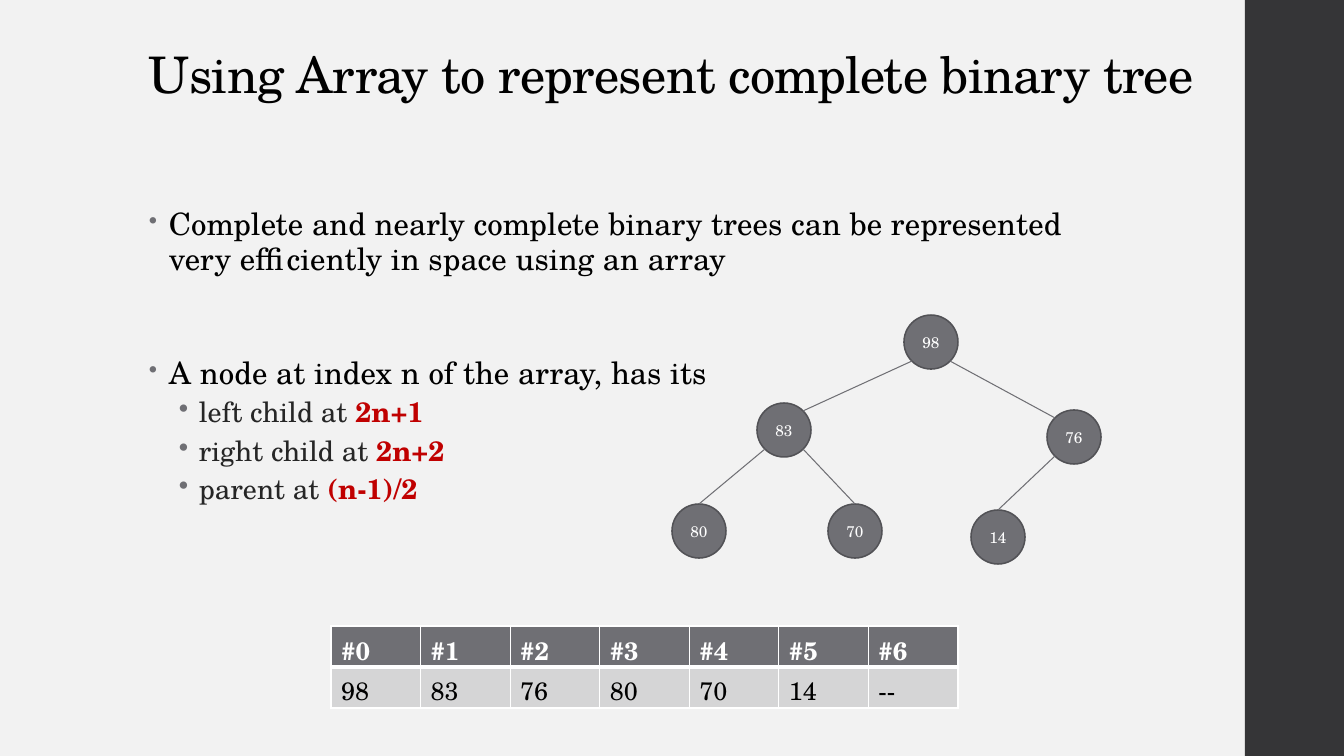
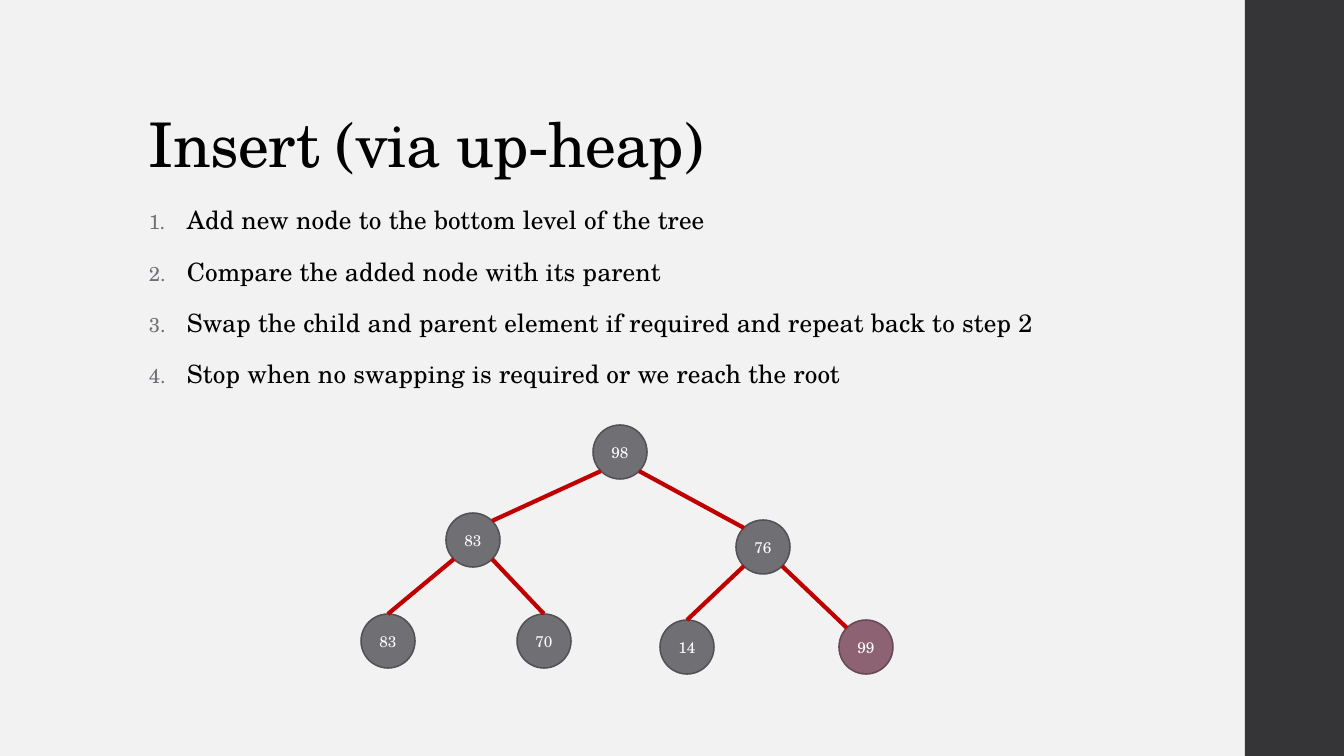
"""Build two slides on heaps: array representation and insertion."""
import math

from lxml import etree
from pptx import Presentation
from pptx import util as u
from pptx.dml.color import RGBColor
from pptx.enum import shapes, text
from pptx.oxml import ns

FONT = "TeX Gyre Schola"
BLACK, WHITE, RED = "000000", "FFFFFF", "C00000"
INK, GREY, GREY_EDGE, PALE = "262626", "6F6F74", "525256", "D5D5D6"
PAPER, BAND, PLUM, PLUM_EDGE = "F2F2F2", "353537", "8D6374", "684956"
WIDTH, HEIGHT = 1344, 756
BAND_LEFT = 1245
NODE = 54

TREE = {
    "root": (232, 0), "left": (85, 88), "right": (375, 95),
    "left-left": (0, 189), "left-right": (156, 189),
    "right-left": (299, 195), "right-right": (478, 195),
}
EDGES = [
    ("root", 135, "left", -45), ("root", 45, "right", -135),
    ("left", 135, "left-left", -90), ("left", 45, "left-right", -90),
    ("right", 135, "right-left", -90), ("right", 45, "right-right", -135),
]


def px(length):
    """Turn pixels into EMU."""
    return u.Emu(round(length * 914400 / 100.8))


def color(value):
    """Turn a hex string into a colour."""
    return RGBColor.from_string(value)


def add_xml(parent, tag, **attributes):
    """Append a DrawingML element to its parent."""
    return etree.SubElement(parent, ns.qn(tag), attributes)


def add_run(paragraph, words, size, ink, bold=False, spacing=0):
    """Add one styled run."""
    run = paragraph.add_run()
    run.text = words
    font = run.font
    font.name, font.size, font.bold = FONT, u.Pt(size), bold
    font.color.rgb = color(ink)
    if spacing:
        run._r.get_or_add_rPr().set("spc", str(spacing))


def add_text_box(slide, box, anchor=text.MSO_ANCHOR.TOP):
    """Add a wrapping text box and return its frame."""
    frame = slide.shapes.add_textbox(*map(px, box)).text_frame
    frame.word_wrap = True
    frame.vertical_anchor = anchor
    return frame


def next_paragraph(frame, first, line, before, after):
    """Return the first or a further paragraph with its spacing set."""
    paragraph = frame.paragraphs[0] if first else frame.add_paragraph()
    paragraph.line_spacing = line
    paragraph.space_before, paragraph.space_after = u.Pt(before), u.Pt(after)
    return paragraph


def add_bullet(paragraph, margin, hanging, percent, numbered=False):
    """Give a paragraph a hanging bullet or number."""
    properties = paragraph._p.get_or_add_pPr()
    properties.set("marL", str(px(margin)))
    properties.set("indent", str(-px(hanging)))
    add_xml(add_xml(properties, "a:buClr"), "a:srgbClr", val=GREY)
    add_xml(properties, "a:buSzPct", val=str(percent * 1000))
    if numbered:
        add_xml(properties, "a:buAutoNum", type="arabicPeriod")
    else:
        add_xml(properties, "a:buChar", char="•")


def new_slide(presentation, title, size, title_height):
    """Add a slide with the shared background, side band and title."""
    slide = presentation.slides.add_slide(presentation.slide_layouts[6])
    slide.background.fill.solid()
    slide.background.fill.fore_color.rgb = color(PAPER)
    band = slide.shapes.add_shape(
        shapes.MSO_SHAPE.RECTANGLE, px(BAND_LEFT), 0, px(WIDTH - BAND_LEFT), px(HEIGHT))
    band.shadow.inherit = False
    band.fill.solid()
    band.fill.fore_color.rgb = color(BAND)
    band.line.fill.background()
    frame = add_text_box(slide, (139, 40, 1068, title_height), text.MSO_ANCHOR.BOTTOM)
    add_run(next_paragraph(frame, True, 0.9, 0, 0), title, size, BLACK, spacing=-50)
    return slide


def add_points(slide, box, points, size, numbered=False):
    """Add main points, each a pair of words and space before."""
    frame = add_text_box(slide, box)
    indent = 38 if numbered else 20
    for index, (words, before) in enumerate(points):
        paragraph = next_paragraph(frame, index == 0, 0.95, before, 2)
        add_bullet(paragraph, indent, indent, 80, numbered)
        add_run(paragraph, words, size, BLACK, spacing=10)
    return frame


def add_formulas(frame, formulas):
    """Add second-level points that end in a red formula."""
    for words, formula in formulas:
        paragraph = next_paragraph(frame, False, 0.9, 3, 3)
        add_bullet(paragraph, 50, 20, 100)
        add_run(paragraph, words, 20, INK)
        add_run(paragraph, formula, 20, RED, bold=True)


def add_node(slide, left, top, value, fill, edge):
    """Add one round tree node."""
    node = slide.shapes.add_shape(
        shapes.MSO_SHAPE.OVAL, px(left), px(top), px(NODE), px(NODE))
    node.shadow.inherit = False
    node.fill.solid()
    node.fill.fore_color.rgb = color(fill)
    node.line.color.rgb = color(edge)
    node.line.width = u.Pt(1.1)
    frame = node.text_frame
    frame.margin_left = frame.margin_right = 0
    frame.vertical_anchor = text.MSO_ANCHOR.MIDDLE
    paragraph = frame.paragraphs[0]
    paragraph.alignment = text.PP_ALIGN.CENTER
    add_run(paragraph, value, 11, WHITE)


def rim_point(origin, name, angle):
    """Return the point on a node's rim at an angle in degrees."""
    turn = math.radians(angle)
    offsets = math.cos(turn), math.sin(turn)
    return [px(start + place + NODE / 2 * (1 + offset))
            for start, place, offset in zip(origin, TREE[name], offsets)]


def add_tree(slide, origin, values, ink, weight, added=None):
    """Draw a binary tree from its origin, with an added node in plum."""
    for name, value in values.items():
        left, top = (start + place for start, place in zip(origin, TREE[name]))
        fill, edge = (PLUM, PLUM_EDGE) if name == added else (GREY, GREY_EDGE)
        add_node(slide, left, top, value, fill, edge)
    for parent, leave, child, arrive in EDGES:
        if child in values:
            line = slide.shapes.add_connector(
                shapes.MSO_CONNECTOR.STRAIGHT,
                *rim_point(origin, parent, leave), *rim_point(origin, child, arrive))
            line.line.color.rgb = color(ink)
            line.line.width = u.Pt(weight)
            add_xml(line._element.spPr, "a:effectLst")


def style_cell(cell, value, ink, fill, bold, bottom):
    """Fill one cell and give it white borders."""
    add_run(cell.text_frame.paragraphs[0], value, 18, ink, bold)
    properties = cell._tc.get_or_add_tcPr()
    for side, weight in (("L", 1), ("R", 1), ("T", 1), ("B", bottom)):
        border = add_xml(properties, f"a:ln{side}", w=str(u.Pt(weight)))
        add_xml(add_xml(border, "a:solidFill"), "a:srgbClr", val=WHITE)
    cell.fill.solid()
    cell.fill.fore_color.rgb = color(fill)


def add_array(slide, box, values):
    """Add a table of array indexes above their values."""
    table = slide.shapes.add_table(2, len(values), *map(px, box)).table
    for index, value in enumerate(values):
        style_cell(table.cell(0, index), f"#{index}", WHITE, GREY, True, 3)
        style_cell(table.cell(1, index), value, BLACK, PALE, False, 1)


def build_array_slide(presentation):
    """Build the slide on storing a tree in an array."""
    slide = new_slide(presentation, "Using Array to represent complete binary tree", 36, 69)
    frame = add_points(slide, (139, 202, 948, 480), [
        ("Complete and nearly complete binary trees can be represented "
         "very efficiently in space using an array", 14),
        ("A node at index n of the array, has its", 54.5),
    ], 22)
    add_formulas(frame, [("left child at ", "2n+1"), ("right child at ", "2n+2"),
                         ("parent at ", "(n-1)/2")])
    values = ["98", "83", "76", "80", "70", "14"]
    add_tree(slide, (672, 315), dict(zip(TREE, values)), GREY, 0.75)
    add_array(slide, (331, 626, 627, 82), values + ["--"])


def build_insert_slide(presentation):
    """Build the slide on inserting a node."""
    slide = new_slide(presentation, "Insert (via up-heap)", 44, 146)
    steps = ["Add new node to the bottom level of the tree",
             "Compare the added node with its parent",
             "Swap the child and parent element if required and repeat back to step 2",
             "Stop when no swapping is required or we reach the root"]
    add_points(slide, (139, 202, 948, 258), [(step, 14) for step in steps], 18, True)
    values = ["98", "83", "76", "83", "70", "14", "99"]
    add_tree(slide, (361, 425), dict(zip(TREE, values)), RED, 3, "right-right")


def main():
    """Build and save the presentation."""
    presentation = Presentation()
    presentation.slide_width, presentation.slide_height = px(WIDTH), px(HEIGHT)
    build_array_slide(presentation)
    build_insert_slide(presentation)
    presentation.save("out.pptx")


main()
